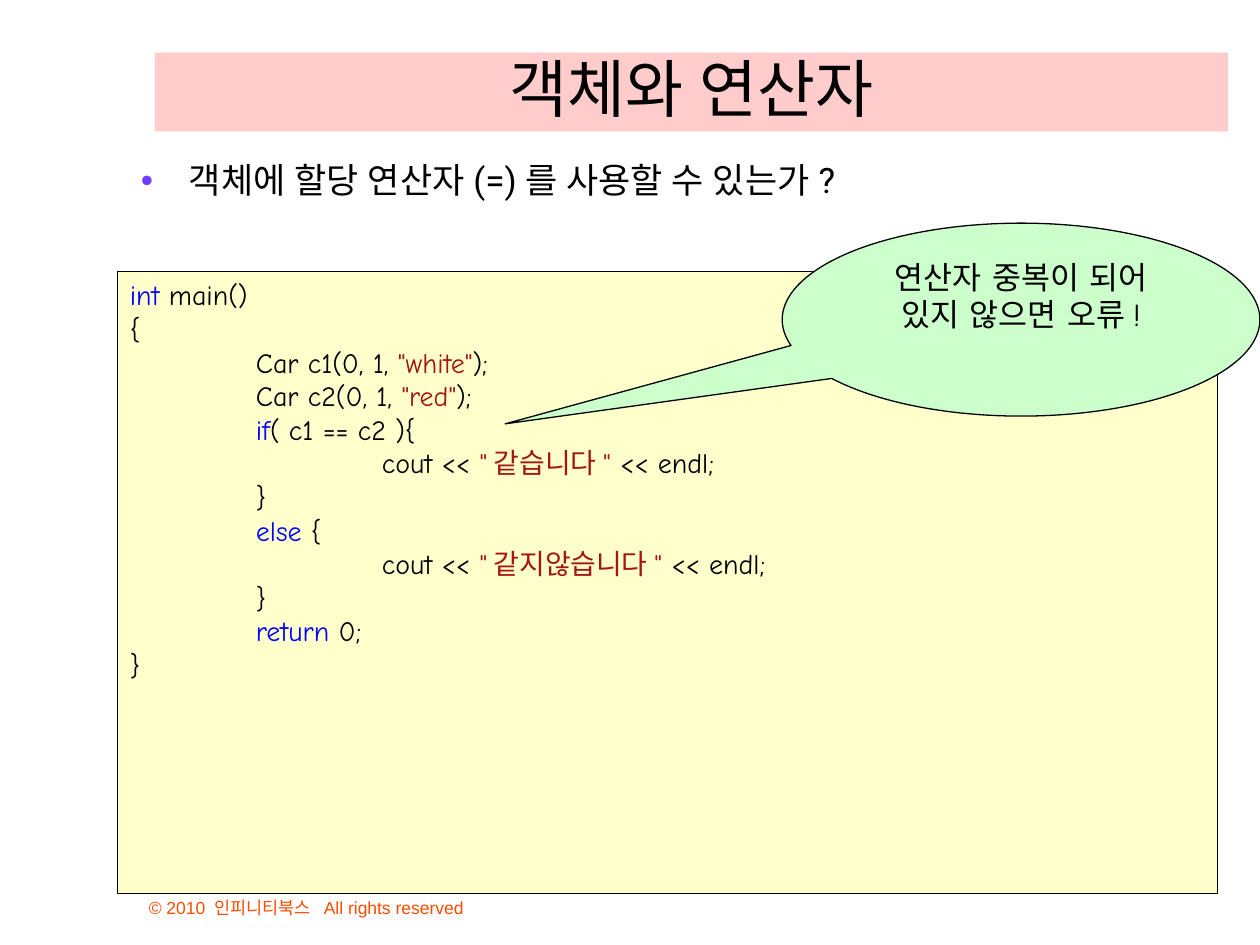
from dataclasses import dataclass
from typing import Optional

from lxml.etree import SubElement
from pptx import Presentation
from pptx.dml.color import RGBColor as Rgb
from pptx.enum.shapes import MSO_SHAPE as Kind
from pptx.enum.text import MSO_ANCHOR as Anchor, MSO_AUTO_SIZE as Auto, PP_ALIGN as Align
from pptx.oxml.ns import qn
from pptx.util import Cm, Pt


@dataclass(frozen=True)
class Theme:
    ink: str = "000000"
    key: str = "0000FF"
    quote: str = "A31515"
    dot: str = "703DFF"
    credit: str = "FF4C00"
    band: str = "FFCCCC"
    paper: str = "FFFFCC"
    bubble: str = "CCFFCC"
    sans: str = "Roboto"
    hand: str = "Comic Neue"
    plain: str = "Arial"
    head: float = 36
    lead: float = 20
    note: float = 18
    code: float = 16
    foot: float = 10


@dataclass(frozen=True)
class Box:
    left: float
    top: float
    width: float
    height: float

    def place(self) -> tuple:
        return Cm(self.left), Cm(self.top), Cm(self.width), Cm(self.height)


@dataclass(frozen=True)
class Bit:
    text: str
    color: str


@dataclass(frozen=True)
class Style:
    font: str
    size: float
    color: str
    align: Align = Align.LEFT
    anchor: Anchor = Anchor.TOP


THEME = Theme()
TAB = 2.54


def ink(text: str) -> Bit:
    return Bit(text, THEME.ink)


def key(text: str) -> Bit:
    return Bit(text, THEME.key)


def quote(text: str) -> Bit:
    return Bit(text, THEME.quote)


CODE = [
    [key("int"), ink(" main()")],
    [ink("{")],
    [ink("\tCar c1(0, 1, "), quote('"white"'), ink(");")],
    [ink("\tCar c2(0, 1, "), quote('"red"'), ink(");")],
    [ink("\t"), key("if"), ink("( c1 == c2 ){")],
    [ink("\t\tcout << "), quote('"같습니다"'), ink(" << endl;")],
    [ink("\t}")],
    [ink("\t"), key("else"), ink(" {")],
    [ink("\t\tcout << "), quote('"같지않습니다"'), ink(" << endl;")],
    [ink("\t}")],
    [ink("\t"), key("return"), ink(" 0;")],
    [ink("}")],
]


def set_font(run, style: Style, color: Optional[str] = None) -> None:
    run.font.name = style.font
    run.font.size = Pt(style.size)
    run.font.color.rgb = Rgb.from_string(color or style.color)
    SubElement(run._r.get_or_add_rPr(), qn("a:ea")).set("typeface", style.font)


def set_frame(frame, style: Style) -> None:
    frame.word_wrap = True
    frame.auto_size = Auto.NONE
    frame.vertical_anchor = style.anchor


def write(shape, text: str, style: Style) -> None:
    frame = shape.text_frame
    frame.text = text
    set_frame(frame, style)
    para = frame.paragraphs[0]
    para.alignment = style.align
    set_font(para.runs[0], style)


def add_tabs(para, count: int) -> None:
    stops = SubElement(para._p.get_or_add_pPr(), qn("a:tabLst"))
    for step in range(1, count + 1):
        stop = SubElement(stops, qn("a:tab"))
        stop.set("pos", str(Cm(TAB * step)))
        stop.set("algn", "l")


def write_code(shape, lines: list[list[Bit]], style: Style) -> None:
    frame = shape.text_frame
    set_frame(frame, style)
    for row, bits in enumerate(lines):
        para = frame.add_paragraph() if row else frame.paragraphs[0]
        para.alignment = style.align
        add_tabs(para, 2)
        for bit in bits:
            run = para.add_run()
            run.text = bit.text
            set_font(run, style, bit.color)


def add_panel(slide, kind: Kind, box: Box, fill: str):
    shape = slide.shapes.add_shape(kind, *box.place())
    shape.shadow.inherit = False
    shape.fill.solid()
    shape.fill.fore_color.rgb = Rgb.from_string(fill)
    shape.line.color.rgb = Rgb.from_string(THEME.ink)
    shape.line.width = Pt(0.75)
    return shape


def add_text(slide, box: Box, text: str, style: Style):
    shape = slide.shapes.add_textbox(*box.place())
    write(shape, text, style)
    return shape


def add_dot(para, color: str, indent: float) -> None:
    props = para._p.get_or_add_pPr()
    props.set("marL", str(Cm(indent)))
    props.set("indent", str(-Cm(indent)))
    tint = SubElement(props, qn("a:buClr"))
    SubElement(tint, qn("a:srgbClr")).set("val", color)
    SubElement(props, qn("a:buFont")).set("typeface", THEME.plain)
    SubElement(props, qn("a:buChar")).set("char", "•")


def add_title(slide, box: Box, text: str) -> None:
    title = slide.shapes.title
    title.left, title.top, title.width, title.height = box.place()
    title.fill.solid()
    title.fill.fore_color.rgb = Rgb.from_string(THEME.band)
    write(title, text, Style(THEME.sans, THEME.head, THEME.ink, Align.CENTER, Anchor.BOTTOM))


def main() -> None:
    deck = Presentation()
    deck.slide_width, deck.slide_height = Cm(25.4), Cm(19.05)
    slide = deck.slides.add_slide(deck.slide_layouts[5])

    add_title(slide, Box(3.12, 1.06, 21.64, 1.59), "객체와 연산자")
    add_text(slide, Box(2.75, 17.56, 9.73, 1.07), "© 2010 인피니티북스  All rights reserved",
             Style(THEME.plain, THEME.foot, THEME.credit, anchor=Anchor.BOTTOM))

    lead = add_text(slide, Box(2.59, 3.17, 22.81, 15.62), "객체에 할당 연산자(=)를 사용할 수 있는가?",
                    Style(THEME.sans, THEME.lead, THEME.ink))
    para = lead.text_frame.paragraphs[0]
    para.line_spacing = 0.9
    add_dot(para, THEME.dot, 0.97)

    panel = add_panel(slide, Kind.RECTANGLE, Box(2.37, 5.48, 22.17, 12.53), THEME.paper)
    write_code(panel, CODE, Style(THEME.hand, THEME.code, THEME.ink))

    bubble = add_panel(slide, Kind.OVAL_CALLOUT, Box(15.77, 4.5, 9.63, 3.89), THEME.bubble)
    bubble.adjustments[0], bubble.adjustments[1] = -1.08, 0.54
    write(bubble, "연산자 중복이 되어 있지 않으면 오류!",
          Style(THEME.hand, THEME.note, THEME.ink, Align.CENTER))

    deck.save("out.pptx")


if __name__ == "__main__":
    main()
